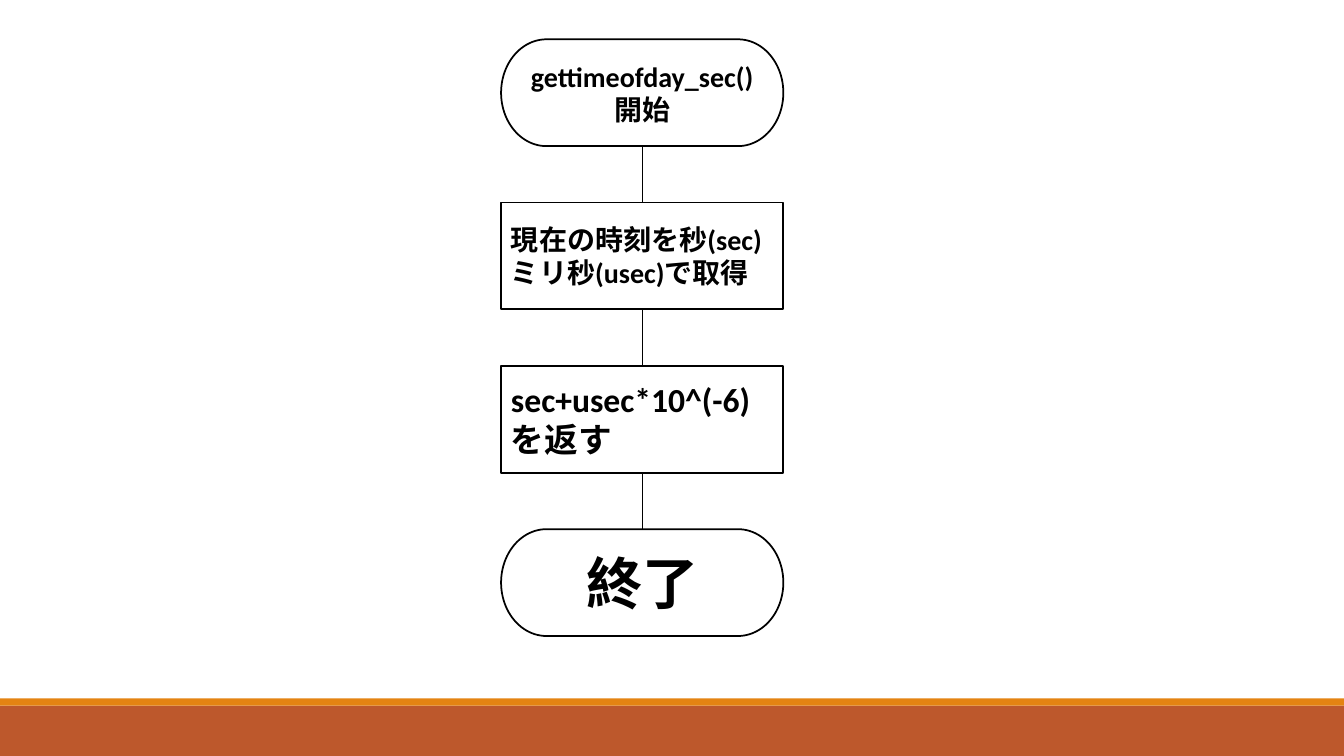
from dataclasses import dataclass
from itertools import pairwise

from pptx import Presentation
from pptx.dml.color import RGBColor
from pptx.enum.shapes import MSO_CONNECTOR as Connector, MSO_SHAPE as Preset
from pptx.enum.text import MSO_ANCHOR as Anchor, PP_ALIGN as Align
from pptx.oxml.ns import qn
from pptx.shapes.autoshape import Shape
from pptx.shapes.connector import Connector as ConnectorShape
from pptx.slide import Slide
from pptx.util import Inches, Pt


@dataclass(frozen=True)
class Theme:
    font: str = "Calibri"
    ink: RGBColor = RGBColor.from_string("000000")
    paper: RGBColor = RGBColor.from_string("FFFFFF")
    rust: RGBColor = RGBColor.from_string("BD582C")
    orange: RGBColor = RGBColor.from_string("E48312")
    small: float = 20
    medium: float = 24
    large: float = 40
    outline: float = 1.25
    flow_line: float = 1


@dataclass(frozen=True)
class Band:
    top: float
    height: float
    color: RGBColor


@dataclass(frozen=True)
class Step:
    lines: tuple[str, ...]
    size: float
    preset: Preset = Preset.RECTANGLE
    align: Align = Align.LEFT


THEME = Theme()
SLIDE_WIDTH, SLIDE_HEIGHT = 13.33, 7.5
STEP_LEFT, FIRST_TOP, STEP_WIDTH, STEP_HEIGHT = 4.97, 0.39, 2.8, 1.06
STEP_PITCH = 1.62
TOP_SIDE, BOTTOM_SIDE = 0, 2

BANDS = (
    Band(7, 0.5, THEME.rust),
    Band(6.93, 0.07, THEME.orange),
)
STEPS = (
    Step(("gettimeofday_sec()", "開始"), THEME.small, Preset.FLOWCHART_TERMINATOR, Align.CENTER),
    Step(("現在の時刻を秒(sec)ミリ秒(usec)で取得",), THEME.small),
    Step(("sec+usec*10^(-6)を返す",), THEME.medium),
    Step(("終了",), THEME.large, Preset.FLOWCHART_TERMINATOR, Align.CENTER),
)


def write_text(shape: Shape, lines: tuple[str, ...], *, size: float,
               align: Align, bold: bool = True) -> None:
    frame = shape.text_frame
    frame.word_wrap = True
    frame.vertical_anchor = Anchor.MIDDLE
    frame.text = "\n".join(lines)
    for paragraph in frame.paragraphs:
        paragraph.alignment = align
        for run in paragraph.runs:
            run.font.name = THEME.font
            run.font.size = Pt(size)
            run.font.bold = bold
            run.font.color.rgb = THEME.ink


def add_filled(slide: Slide, preset: Preset, left: float, top: float,
               width: float, height: float, color: RGBColor) -> Shape:
    shape = slide.shapes.add_shape(
        preset, Inches(left), Inches(top), Inches(width), Inches(height))
    shape.shadow.inherit = False
    shape.fill.solid()
    shape.fill.fore_color.rgb = color
    shape.line.fill.background()
    return shape


def add_step(slide: Slide, step: Step, top: float) -> Shape:
    shape = add_filled(slide, step.preset, STEP_LEFT, top,
                       STEP_WIDTH, STEP_HEIGHT, THEME.paper)
    shape.line.color.rgb = THEME.ink
    shape.line.width = Pt(THEME.outline)
    write_text(shape, step.lines, size=step.size, align=step.align)
    return shape


def join_steps(slide: Slide, upper: Shape, lower: Shape) -> ConnectorShape:
    center = upper.left + upper.width // 2
    flow = slide.shapes.add_connector(
        Connector.STRAIGHT, center, upper.top + upper.height, center, lower.top)
    flow.begin_connect(upper, BOTTOM_SIDE)
    flow.end_connect(lower, TOP_SIDE)
    flow.line.color.rgb = THEME.ink
    flow.line.width = Pt(THEME.flow_line)
    properties = flow._element.spPr
    properties.append(properties.makeelement(qn("a:effectLst"), {}))
    return flow


def main() -> None:
    deck = Presentation()
    deck.slide_width = Inches(SLIDE_WIDTH)
    deck.slide_height = Inches(SLIDE_HEIGHT)
    slide = deck.slides.add_slide(deck.slide_layouts[6])
    slide.background.fill.solid()
    slide.background.fill.fore_color.rgb = THEME.paper

    for band in BANDS:
        add_filled(slide, Preset.RECTANGLE, 0, band.top, SLIDE_WIDTH, band.height, band.color)
    flowchart = [add_step(slide, step, FIRST_TOP + row * STEP_PITCH)
                 for row, step in enumerate(STEPS)]
    for upper, lower in pairwise(flowchart):
        join_steps(slide, upper, lower)

    deck.save("out.pptx")


if __name__ == "__main__":
    main()
